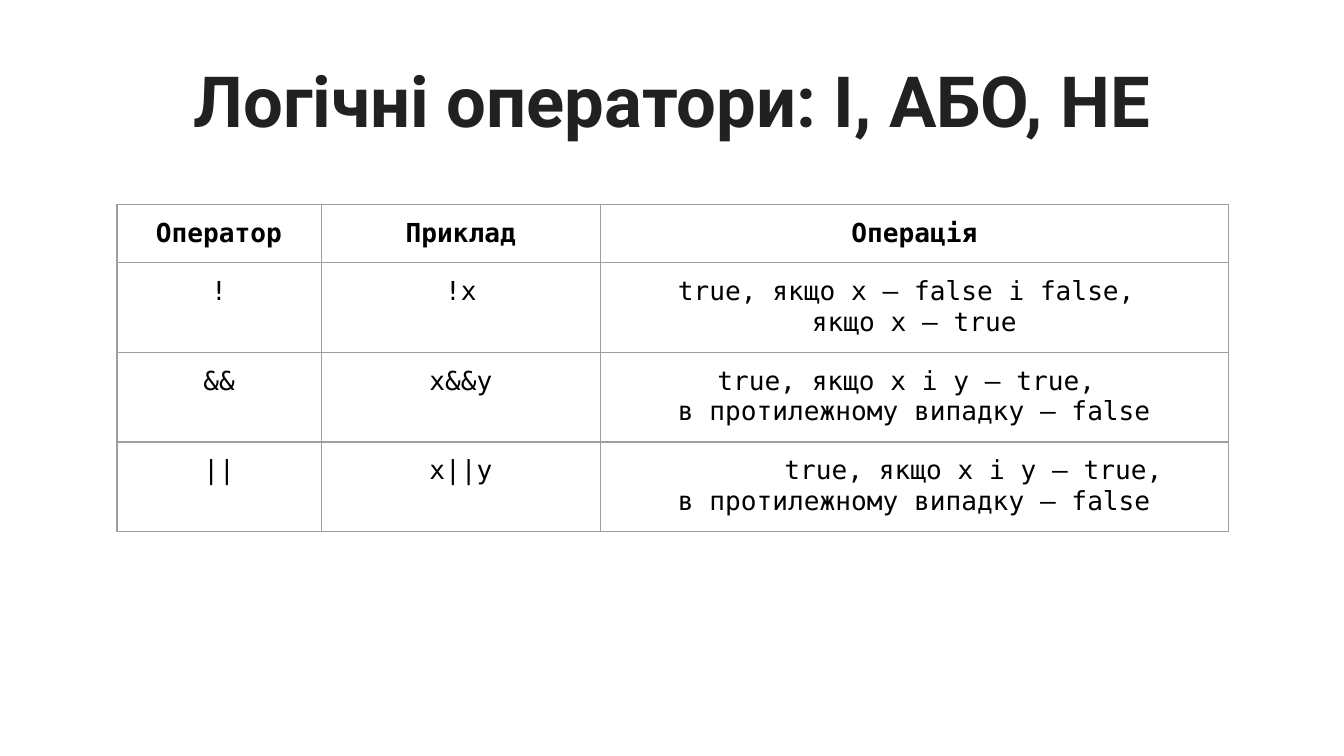
from copy import deepcopy

from lxml import etree
from pptx import Presentation
from pptx import util as u
from pptx.dml.color import RGBColor
from pptx.enum import text
from pptx.oxml.ns import qn

COLORS = {"title": "212121", "body": "000000", "border": "9E9E9E"}
COLUMN_WIDTHS = [1.52, 2.08, 4.67]
ROW_HEIGHT = 0.42
OPERATORS = [
    ("Оператор", "Приклад", "Операція"),
    ("!", "!x", "true, якщо x — false і false, \vякщо x — true"),
    ("&&", "x&&y", "true, якщо x і y — true, \vв протилежному випадку — false"),
    ("||", "x||y", "\ttrue, якщо x і y — true, \vв протилежному випадку — false"),
]


def write(frame, content, *, font, size, color, bold=False):
    """Fill a text frame with one centred paragraph; a vertical tab breaks the line."""
    paragraph = frame.paragraphs[0]
    paragraph.text = content
    paragraph.alignment = text.PP_ALIGN.CENTER
    paragraph.line_spacing = 1.0
    paragraph._p.get_or_add_pPr().set("defTabSz", str(u.Inches(1)))
    for run in paragraph.runs:
        run.font.name = font
        run.font.size = u.Pt(size)
        run.font.bold = bold
        run.font.color.rgb = RGBColor.from_string(COLORS[color])
    # A line break needs the run's size too, or it makes the line taller.
    for line_break in paragraph._p.findall(qn("a:br")):
        line_break.append(deepcopy(paragraph.runs[0]._r.rPr))


def set_margins(target, inches):
    for side in ("left", "top", "right", "bottom"):
        setattr(target, f"margin_{side}", u.Inches(inches))


def add_borders(cell, color, points):
    properties = cell._tc.get_or_add_tcPr()
    for position, side in enumerate(("lnL", "lnR", "lnT", "lnB")):
        line = etree.Element(qn(f"a:{side}"), w=str(u.Pt(points)))
        fill = etree.SubElement(line, qn("a:solidFill"))
        etree.SubElement(fill, qn("a:srgbClr"), val=COLORS[color])
        properties.insert(position, line)


class SlideBuilder:
    title_font = "Roboto"
    code_font = "DejaVu Sans Mono"
    margin = 0.1

    def __init__(self, slide):
        self.slide = slide

    def title(self, content, left, top, width, height):
        box = self.slide.shapes.add_textbox(*map(u.Inches, (left, top, width, height)))
        frame = box.text_frame
        frame.word_wrap = True
        frame.vertical_anchor = text.MSO_ANCHOR.TOP
        set_margins(frame, self.margin)
        write(frame, content, font=self.title_font, size=37.8, color="title", bold=True)

    def table(self, rows, left, top, widths, row_height):
        bounds = (left, top, sum(widths), row_height * len(rows))
        table = self.slide.shapes.add_table(
            len(rows), len(widths), *map(u.Inches, bounds)).table
        table.first_row = table.horz_banding = False
        for column, width in zip(table.columns, widths):
            column.width = u.Inches(width)
        for row_index, row in enumerate(rows):
            for column_index, content in enumerate(row):
                cell = table.cell(row_index, column_index)
                set_margins(cell, self.margin)
                cell.fill.background()
                add_borders(cell, "border", 0.75)
                write(cell.text_frame, content, font=self.code_font, size=14,
                      color="body", bold=row_index == 0)


def main():
    deck = Presentation()
    deck.slide_width = u.Inches(10)
    deck.slide_height = deck.slide_width * 9 // 16
    builder = SlideBuilder(deck.slides.add_slide(deck.slide_layouts[6]))
    builder.title("Логічні оператори: І, АБО, НЕ", 0.34, 0.32, 9.32, 0.88)
    builder.table(OPERATORS, 0.87, 1.52, COLUMN_WIDTHS, ROW_HEIGHT)
    deck.save("out.pptx")


if __name__ == "__main__":
    main()
